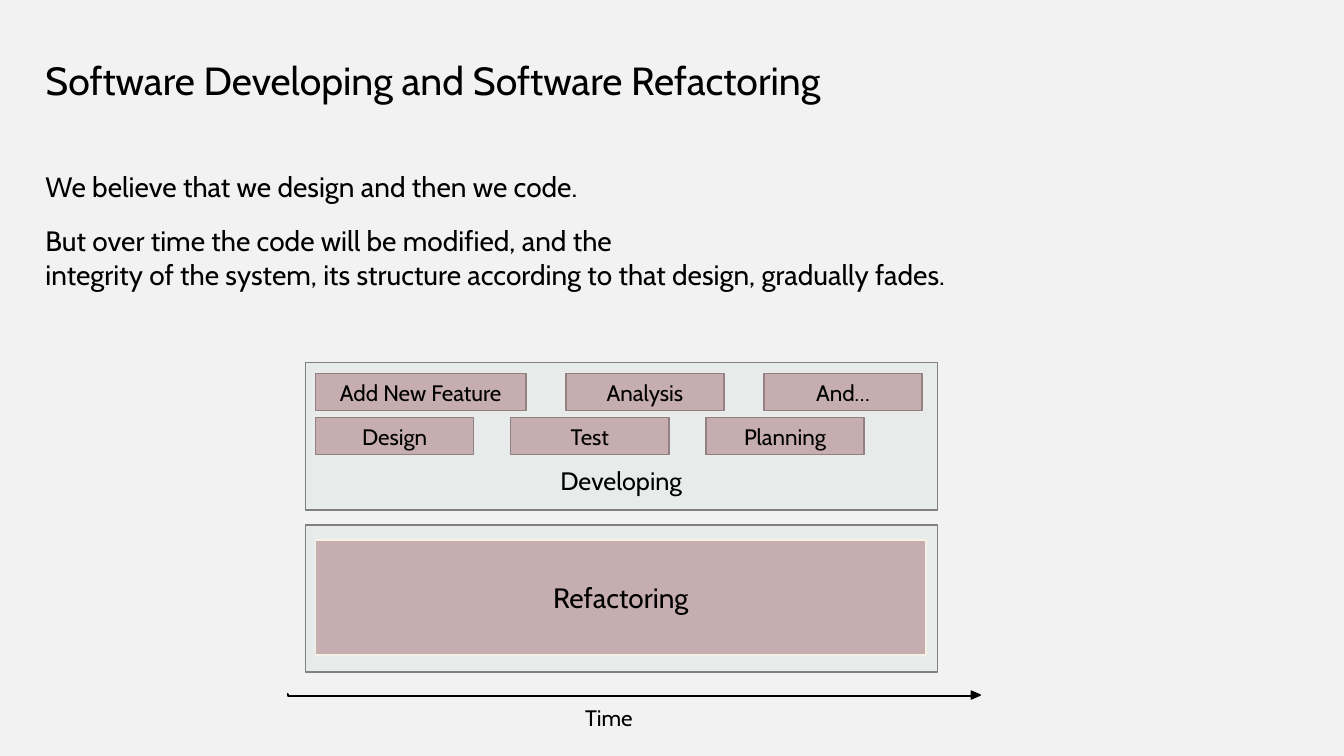
from lxml.etree import SubElement
from pptx import Presentation
from pptx.dml.color import RGBColor
from pptx.enum.shapes import MSO_CONNECTOR, MSO_SHAPE
from pptx.enum.text import MSO_ANCHOR, PP_ALIGN
from pptx.oxml.ns import qn
from pptx.util import Cm, Pt

BACKGROUND = RGBColor(0xF2, 0xF2, 0xF2)
BLACK = RGBColor(0x00, 0x00, 0x00)
PANEL_FILL = RGBColor(0xE7, 0xEC, 0xEA)
PANEL_LINE = RGBColor(0x80, 0x80, 0x80)
ROSE = RGBColor(0xC6, 0xAD, 0xB0)
ROSE_LINE = RGBColor(0x92, 0x80, 0x82)
CREAM = RGBColor(0xF5, 0xF1, 0xE5)


def write(shape, text, size, align, anchor=MSO_ANCHOR.TOP):
    frame = shape.text_frame
    frame.text = text
    frame.vertical_anchor = anchor
    for para in frame.paragraphs:
        para.alignment = align
        para.space_before = Pt(0)
        for span in para.runs:
            span.font.name = "Cabin"
            span.font.size = Pt(size)
            span.font.color.rgb = BLACK


def add_box(left, top, width, height, fill, line, kind=MSO_SHAPE.RECTANGLE):
    box = page.shapes.add_shape(kind, Cm(left), Cm(top), Cm(width), Cm(height))
    box.shadow.inherit = False
    box.fill.solid()
    box.fill.fore_color.rgb = fill
    box.line.color.rgb = line
    box.line.width = Pt(1)
    return box


deck = Presentation()
deck.slide_width, deck.slide_height = Cm(33.87), Cm(19.05)
page = deck.slides.add_slide(deck.slide_layouts[1])
page.background.fill.solid()
page.background.fill.fore_color.rgb = BACKGROUND

# Title and body
title, body = page.placeholders
title.left, title.top, title.width, title.height = Cm(0.89), Cm(1.3), Cm(21), Cm(1.45)
body.left, body.top, body.width, body.height = Cm(0.89), Cm(4.14), Cm(24.74), Cm(3.35)
write(title, "Software Developing and Software Refactoring", 28, PP_ALIGN.LEFT)
title.text_frame.word_wrap = False
write(body, "We believe that we design and then we code.\n"
            "But over time the code will be modified, and the\n"
            "integrity of the system, its structure according to that design, gradually fades.",
      20, PP_ALIGN.LEFT)
for para in body.text_frame.paragraphs:
    properties = para._p.get_or_add_pPr()
    properties.set("marL", "0")
    properties.set("indent", "0")
    SubElement(properties, qn("a:buNone"))
body.text_frame.paragraphs[1].space_before = Pt(15)

# Panels
for top in (9.14, 13.23):
    add_box(7.7, top, 15.93, 3.71, PANEL_FILL, PANEL_LINE)

# Developing activities: each row is laid out from the left with an equal gap
activity_rows = [
    (9.41, 1, [("Add New Feature", 5.31), ("Analysis", 3.99), ("And…", 3.99)]),
    (10.52, 0.93, [("Design", 3.99), ("Test", 3.99), ("Planning", 3.99)]),
]
for top, gap, activities in activity_rows:
    left = 7.95
    for name, width in activities:
        activity = add_box(left, top, width, 0.94, ROSE, ROSE_LINE)
        write(activity, name, 16, PP_ALIGN.CENTER, MSO_ANCHOR.MIDDLE)
        left += width + gap

# Refactoring block
refactoring = add_box(7.95, 13.61, 15.39, 2.9, ROSE, CREAM)
write(refactoring, "Refactoring", 20, PP_ALIGN.CENTER, MSO_ANCHOR.MIDDLE)

# Captions
for text, size, left, top, width, height in [
    ("Developing", 18, 13.79, 11.61, 3.73, 1.02),
    ("Time", 16, 14.48, 17.63, 1.73, 0.94),
]:
    caption = page.shapes.add_textbox(Cm(left), Cm(top), Cm(width), Cm(height))
    caption.text_frame.word_wrap = False
    write(caption, text, size, PP_ALIGN.CENTER)

# Time axis, bent right at its start, with its arrow tip
axis = page.shapes.add_connector(MSO_CONNECTOR.ELBOW, Cm(7.24), Cm(17.5), Cm(24.46), Cm(17.53))
axis.line.color.rgb = BLACK
axis.line.width = Pt(1.5)
axis_properties = axis._element.spPr
SubElement(axis_properties, qn("a:effectLst"))
adjustments = axis_properties.find(qn("a:prstGeom")).get_or_add_avLst()
SubElement(adjustments, qn("a:gd"), name="adj1", fmla="val 100")
tip = add_box(24.49, 17.4, 0.2, 0.23, BLACK, BLACK, MSO_SHAPE.ISOSCELES_TRIANGLE)
tip.rotation = 90

deck.save("out.pptx")
